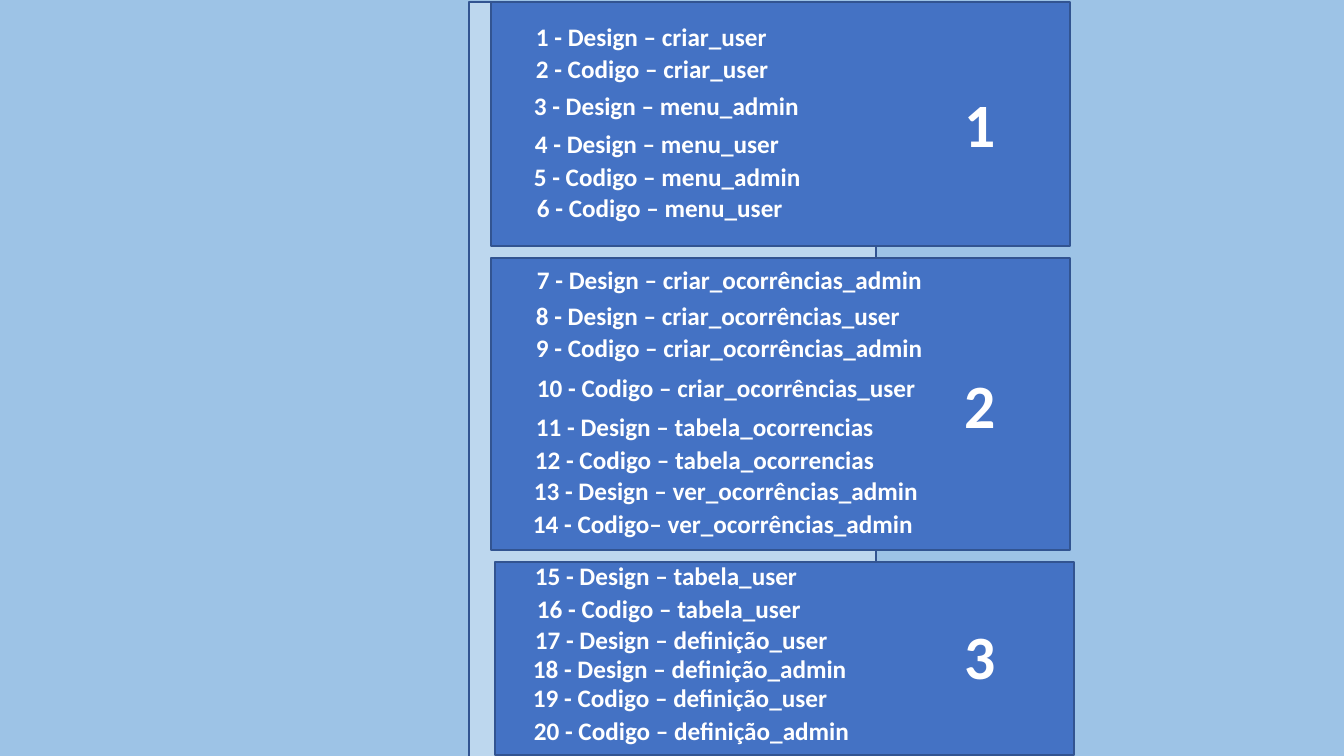
import dataclasses

import pptx
import pptx.dml.color
import pptx.enum.shapes
import pptx.enum.text
import pptx.util


@dataclasses.dataclass(frozen=True)
class Theme:
    background: str = "9DC3E6"
    strip: str = "BDD7EE"
    panel: str = "4472C4"
    outline: str = "325491"
    text: str = "FFFFFF"
    font: str = "Calibri"
    task_size: int = 18
    number_size: int = 44
    line_width: int = 1


THEME = Theme()
EMU_PER_PX = 914400 / 100.8
TASK_HEIGHT = 40
NUMBER_LEFT = 955
NUMBER_HEIGHT = 85

PHASES = [
    {
        "panel": (491, 2, 579, 244),
        "number": (81, 108),
        "tasks": [
            ("1 - Design – criar_user", 526, 16, 253),
            ("2 - Codigo – criar_user", 526, 48, 255),
            ("3 - Design – menu_admin", 524, 85, 287),
            ("4 - Design – menu_user", 525, 123, 266),
            ("5 - Codigo – menu_admin", 524, 156, 289),
            ("6 - Codigo – menu_user", 527, 187, 268),
        ],
    },
    {
        "panel": (491, 258, 579, 292),
        "number": (362, 108),
        "tasks": [
            ("7 - Design – criar_ocorrências_admin", 527, 259, 408),
            ("8 - Design – criar_ocorrências_user", 526, 295, 387),
            ("9 - Codigo – criar_ocorrências_admin", 526, 327, 410),
            ("10 - Codigo – criar_ocorrências_user", 527, 367, 401),
            ("11 - Design – tabela_ocorrencias", 526, 406, 361),
            ("12 - Codigo – tabela_ocorrencias", 525, 439, 362),
            ("13 - Design – ver_ocorrências_admin", 524, 470, 407),
            ("14 - Codigo– ver_ocorrências_admin", 523, 503, 403),
        ],
    },
    {
        "panel": (495, 562, 579, 193),
        "number": (613, 95),
        "tasks": [
            ("15 - Design – tabela_user", 525, 555, 285),
            ("16 - Codigo – tabela_user", 527, 588, 286),
            ("17 - Design – definição_user", 525, 619, 322),
            ("18 - Design – definição_admin", 523, 648, 337),
            ("19 - Codigo – definição_user", 523, 677, 318),
            ("20 - Codigo – definição_admin", 524, 710, 339),
        ],
    },
]


def px(length):
    return pptx.util.Emu(round(length * EMU_PER_PX))


def color(value):
    return pptx.dml.color.RGBColor.from_string(value)


def add_rectangle(page, bounds, fill):
    box = page.shapes.add_shape(
        pptx.enum.shapes.MSO_SHAPE.RECTANGLE, *map(px, bounds)
    )
    box.shadow.inherit = False
    box.fill.solid()
    box.fill.fore_color.rgb = color(fill)
    box.line.color.rgb = color(THEME.outline)
    box.line.width = pptx.util.Pt(THEME.line_width)


def add_text(page, text, bounds, *, size, wrap=False):
    box = page.shapes.add_textbox(*map(px, bounds))
    frame = box.text_frame
    frame.word_wrap = wrap
    frame.auto_size = pptx.enum.text.MSO_AUTO_SIZE.SHAPE_TO_FIT_TEXT
    span = frame.paragraphs[0].add_run()
    span.text = text
    span.font.name = THEME.font
    span.font.size = pptx.util.Pt(size)
    span.font.bold = True
    span.font.color.rgb = color(THEME.text)


def add_phase(page, number, phase):
    add_rectangle(page, phase["panel"], THEME.panel)
    for text, left, top, width in phase["tasks"]:
        add_text(page, text, (left, top, width, TASK_HEIGHT), size=THEME.task_size)
    top, width = phase["number"]
    add_text(
        page,
        str(number),
        (NUMBER_LEFT, top, width, NUMBER_HEIGHT),
        size=THEME.number_size,
        wrap=True,
    )


def main():
    deck = pptx.Presentation()
    deck.slide_width = px(1344)
    deck.slide_height = px(756)
    page = deck.slides.add_slide(deck.slide_layouts[6])
    page.background.fill.solid()
    page.background.fill.fore_color.rgb = color(THEME.background)
    add_rectangle(page, (469, 2, 407, 756), THEME.strip)
    for number, phase in enumerate(PHASES, start=1):
        add_phase(page, number, phase)
    deck.save("out.pptx")


if __name__ == "__main__":
    main()
